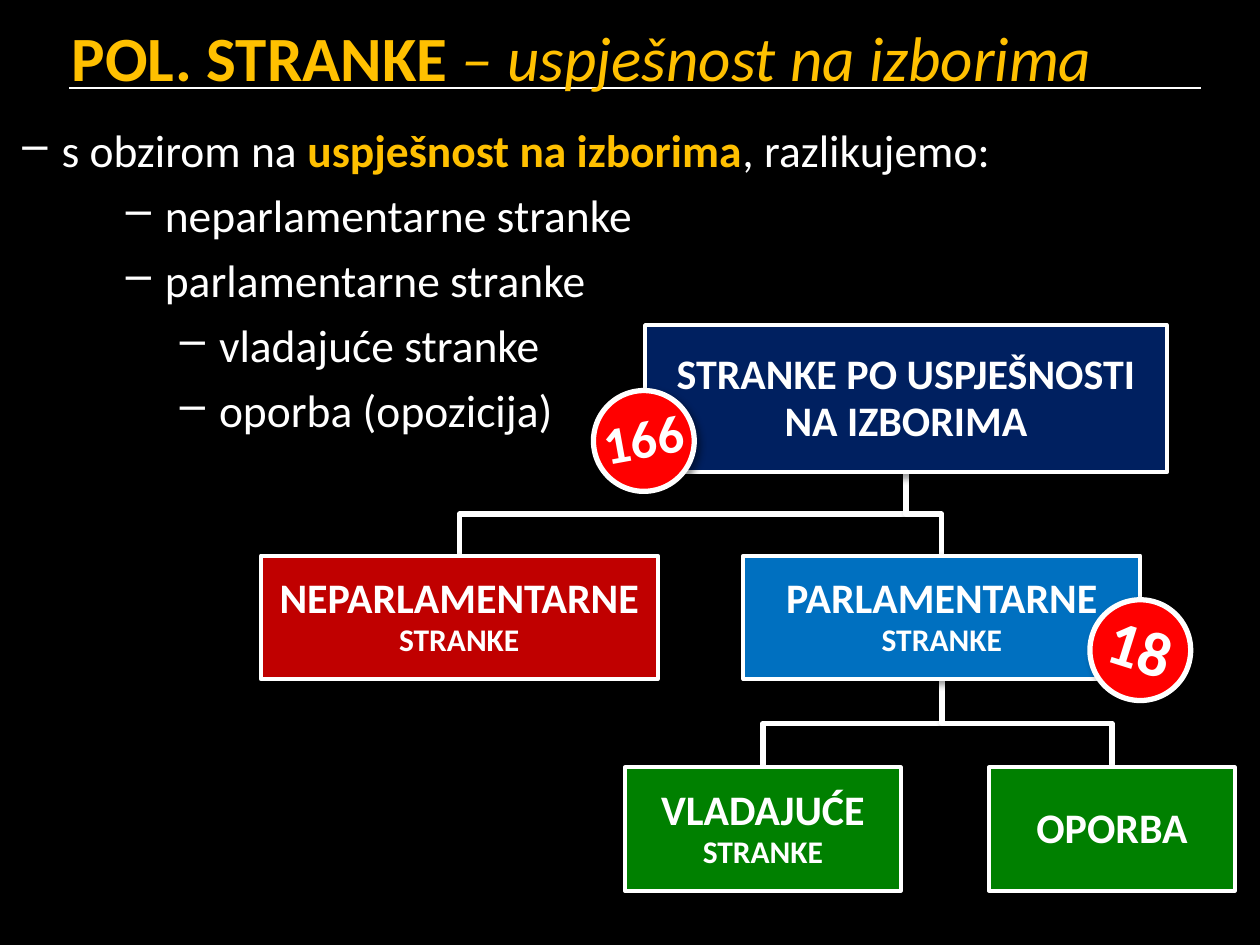
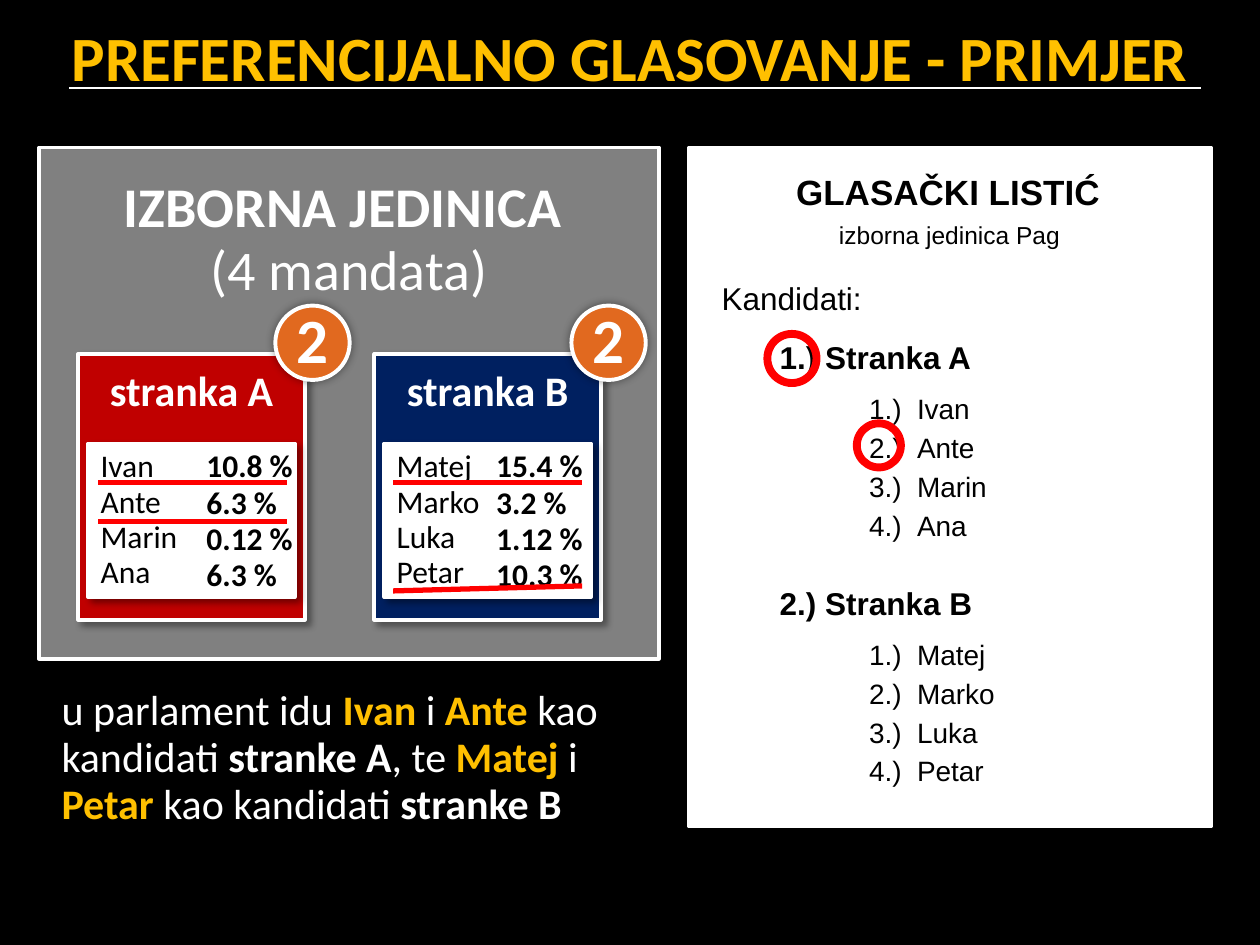
from dataclasses import dataclass

from lxml import etree
from pptx import Presentation
from pptx.dml.color import RGBColor
from pptx.enum.shapes import MSO_CONNECTOR, MSO_SHAPE
from pptx.enum.text import MSO_ANCHOR, PP_ALIGN
from pptx.oxml.ns import qn
from pptx.util import Inches, Pt

RECTANGLE, OVAL = MSO_SHAPE.RECTANGLE, MSO_SHAPE.OVAL
STRAIGHT, ELBOW = MSO_CONNECTOR.STRAIGHT, MSO_CONNECTOR.ELBOW
TOP, MIDDLE = MSO_ANCHOR.TOP, MSO_ANCHOR.MIDDLE
LEFT, CENTER = PP_ALIGN.LEFT, PP_ALIGN.CENTER


@dataclass(frozen=True)
class Theme:
    black: str = "000000"
    white: str = "FFFFFF"
    gold: str = "FFC000"
    crimson: str = "C00000"
    blue: str = "0070C0"
    navy: str = "002060"
    green: str = "008000"
    grey: str = "808080"
    red: str = "FF0000"
    orange: str = "E1691F"
    font: str = "Calibri"
    ballot_font: str = "Arial"
    title: int = 36
    district: int = 32
    badge: int = 30
    body: int = 26
    label: int = 24
    ballot_title: int = 20
    small: int = 18
    choice: int = 16
    note: int = 14
    spacing: float = 0.93


THEME = Theme()
DROP_SHADOW = (4, 3, 45)
GLOW_SHADOW = (5, 0, 0)


def rgb(value):
    return RGBColor.from_string(value)


def add_effects(item, shadow=None):
    properties = item.element.spPr
    for old in properties.findall(qn("a:effectLst")):
        properties.remove(old)
    effects = etree.SubElement(properties, qn("a:effectLst"))
    if shadow:
        blur, distance, angle = shadow
        outer = etree.SubElement(effects, qn("a:outerShdw"), blurRad=str(Pt(blur)),
                                 dist=str(Pt(distance)), dir=str(angle * 60000), rotWithShape="0")
        color = etree.SubElement(outer, qn("a:srgbClr"), val=THEME.black)
        etree.SubElement(color, qn("a:alpha"), val="40000")


def style_span(span, size, color, bold=False, italic=False, font=THEME.font):
    span.font.name = font
    span.font.size = Pt(size)
    span.font.color.rgb = rgb(color)
    span.font.bold = bold
    span.font.italic = italic


def add_spans(para, pieces):
    for text, style in pieces:
        span = para.add_run()
        span.text = text
        style_span(span, **style)


def fill_frame(frame, paragraphs, align=LEFT, anchor=TOP, top=0.05, spacing=THEME.spacing):
    frame.word_wrap = True
    frame.vertical_anchor = anchor
    frame.margin_left = frame.margin_right = Inches(0.1)
    frame.margin_top, frame.margin_bottom = Inches(top), Inches(0.05)
    for index, pieces in enumerate(paragraphs):
        para = frame.add_paragraph() if index else frame.paragraphs[0]
        para.alignment = align
        para.line_spacing = spacing
        add_spans(para, pieces)


def add_text(page, area, paragraphs, **layout):
    box = page.shapes.add_textbox(*map(Inches, area))
    fill_frame(box.text_frame, paragraphs, **layout)
    return box.text_frame


def add_block(page, kind, area, fill, paragraphs=(), line=THEME.white, weight=2.25,
              shadow=DROP_SHADOW, **layout):
    block = page.shapes.add_shape(kind, *map(Inches, area))
    if fill:
        block.fill.solid()
        block.fill.fore_color.rgb = rgb(fill)
    else:
        block.fill.background()
    block.line.color.rgb = rgb(line)
    block.line.width = Pt(weight)
    add_effects(block, shadow)
    fill_frame(block.text_frame, paragraphs, **layout)
    return block


def add_badge(page, center, diameter, fill, text, size, angle=0, weight=3, shadow=DROP_SHADOW):
    x, y = center
    area = (x - diameter / 2, y - diameter / 2, diameter, diameter)
    style = dict(size=size, color=THEME.white, bold=True)
    badge = add_block(page, OVAL, area, fill, [[(text, style)]], weight=weight,
                      shadow=shadow, align=CENTER, anchor=MIDDLE)
    badge.text_frame.word_wrap = False
    badge.rotation = angle


def add_line(page, start, end, color, weight, kind=STRAIGHT, shadow=None):
    line = page.shapes.add_connector(kind, *map(Inches, (*start, *end)))
    line.line.color.rgb = rgb(color)
    line.line.width = Pt(weight)
    add_effects(line, shadow)
    return line


def add_branch(page, parent, child):
    x1, y1 = parent[0] + parent[2] / 2, parent[1] + parent[3]
    x2, y2 = child[0] + child[2] / 2, child[1]
    run, drop = abs(x2 - x1), y2 - y1
    left, right = (x1 + x2 - drop) / 2, (x1 + x2 + drop) / 2
    top, bottom = (y1 + y2 - run) / 2, (y1 + y2 + run) / 2
    if x2 > x1:
        left, right = right, left
    branch = add_line(page, (left, top), (right, bottom), THEME.white, 3, ELBOW, DROP_SHADOW)
    branch.rotation = 270 if x2 > x1 else 90


def add_page(deck, title, subtitle=""):
    page = deck.slides.add_slide(deck.slide_layouts[6])
    page.background.fill.solid()
    page.background.fill.fore_color.rgb = rgb(THEME.black)
    add_line(page, (0.55, 0.7), (9.53, 0.7), THEME.white, 1)
    style = dict(size=THEME.title, color=THEME.gold)
    pieces = [(title, {**style, "bold": True})]
    if subtitle:
        pieces.append((subtitle, {**style, "italic": True}))
    add_text(page, (0.47, 0.1, 9.53, 0.63), [pieces], spacing=1)
    return page


def add_bullets(page, area, items):
    frame = add_text(page, area, [pieces for _, pieces in items], spacing=1)
    for index, (para, (indent, _)) in enumerate(zip(frame.paragraphs, items)):
        para.space_before = Pt(6 if index else 12)
        properties = para._p.get_or_add_pPr()
        properties.set("marL", str(Inches(indent)))
        properties.set("indent", str(Inches(-0.31)))
        color = etree.SubElement(properties, qn("a:buClr"))
        etree.SubElement(color, qn("a:srgbClr"), val=THEME.white)
        etree.SubElement(properties, qn("a:buChar"), char="–")


def build_parties_page(deck):
    page = add_page(deck, "POL. STRANKE ", "– uspješnost na izborima")
    plain = dict(size=THEME.body, color=THEME.white)
    strong = dict(size=THEME.body, color=THEME.gold, bold=True)
    add_bullets(page, (0.08, 0.92, 9.69, 2.66), [
        (0.31, [("s obzirom na ", plain), ("uspješnost na izborima", strong),
                (", razlikujemo:", plain)]),
        (1.13, [("neparlamentarne stranke", plain)]),
        (1.13, [("parlamentarne stranke", plain)]),
        (1.56, [("vladajuće stranke", plain)]),
        (1.56, [("oporba (opozicija)", plain)]),
    ])

    root = (5.12, 2.58, 4.14, 1.17)
    outside, inside = [(x, 4.41, 3.15, 0.98) for x in (2.07, 5.9)]
    ruling, opposition = (4.96, 6.09, 2.19, 0.98), (7.85, 6.09, 1.95, 0.98)
    for parent, child in ((inside, ruling), (inside, opposition), (root, outside), (root, inside)):
        add_branch(page, parent, child)

    label = dict(size=THEME.label, color=THEME.white, bold=True)
    second = ("STRANKE", {**label, "size": THEME.small})
    for area, fill, pieces in (
        (outside, THEME.crimson, [("NEPARLAMENTARNE ", label), second]),
        (inside, THEME.blue, [("PARLAMENTARNE ", label), second]),
        (root, THEME.navy, [("STRANKE PO USPJEŠNOSTI NA IZBORIMA", label)]),
        (ruling, THEME.green, [("VLADAJUĆE ", label), second]),
        (opposition, THEME.green, [("OPORBA", label)]),
    ):
        add_block(page, RECTANGLE, area, fill, [pieces], align=CENTER, anchor=MIDDLE)
    add_badge(page, (5.11, 3.5), 0.8, THEME.red, "166", THEME.badge, 349.6)
    add_badge(page, (9.05, 5.16), 0.8, THEME.red, "18", THEME.title, 17.6)


def add_party(page, left, name, fill, results, share_left):
    heading = dict(size=THEME.label, color=THEME.white, bold=True)
    entry = dict(size=THEME.small, color=THEME.black)
    add_block(page, RECTANGLE, (left, 2.81, 1.8, 2.11), fill, [[(name, heading)]],
              weight=2, align=CENTER, top=0.12)
    add_block(page, RECTANGLE, (left + 0.08, 3.52, 1.64, 1.22), THEME.white,
              [[(person, entry)] for person, _ in results], weight=2)
    for row, (_, share) in enumerate(results):
        add_text(page, (share_left, 3.52 + 0.287 * row, 1, 0.38),
                 [[(share, {**entry, "bold": True})]])
    add_badge(page, (left + 1.86, 2.72), 0.59, THEME.orange, "2", THEME.title,
              weight=2.25, shadow=GLOW_SHADOW)


def add_ballot(page, parties):
    base = dict(color=THEME.black, font=THEME.ballot_font)
    add_block(page, RECTANGLE, (5.47, 1.17, 4.14, 5.39), THEME.white, weight=2)
    for area, text, size, bold in (
        ((6.22, 1.33, 2.8, 0.41), "GLASAČKI LISTIĆ", THEME.ballot_title, True),
        ((6.56, 1.72, 2.2, 0.32), "izborna jedinica Pag", THEME.note, False),
        ((5.63, 2.19, 1.5, 0.38), "Kandidati:", THEME.small, False),
    ):
        add_text(page, area, [[(text, dict(base, size=size, bold=bold))]])
    for number, (name, top, people) in enumerate(parties, 1):
        add_text(page, (6.09, top, 2, 0.38),
                 [[(f"{number}.) {name}", dict(base, size=THEME.small, bold=True))]])
        frame = add_text(page, (6.8, top + 0.4, 1.5, 1.3),
                         [[(f"{place}.)\t{person}", dict(base, size=THEME.choice))]
                          for place, person in enumerate(people, 1)], spacing=1)
        for para in frame.paragraphs:
            para.space_before = Pt(3)
            properties = para._p.get_or_add_pPr()
            properties.set("marL", str(Inches(0.38)))
            properties.set("indent", str(Inches(-0.38)))


def build_voting_page(deck):
    page = add_page(deck, "PREFERENCIJALNO GLASOVANJE - PRIMJER")
    district = dict(size=THEME.district, color=THEME.white)
    add_block(page, RECTANGLE, (0.31, 1.17, 4.92, 4.06), THEME.grey,
              [[("IZBORNA JEDINICA ", {**district, "bold": True})], [("(4 mandata)", district)]],
              weight=2, align=CENTER, top=0.24)

    party_a = [("Ivan", "10.8 %"), ("Ante", "6.3 %"), ("Marin", "0.12 %"), ("Ana", "6.3 %")]
    party_b = [("Matej", "15.4 %"), ("Marko", "3.2 %"), ("Luka", "1.12 %"), ("Petar", "10.3 %")]
    add_party(page, 0.62, "stranka A", THEME.crimson, party_a, 1.54)
    add_party(page, 2.97, "stranka B", THEME.navy, party_b, 3.84)
    add_ballot(page, [("Stranka A", 2.66, [person for person, _ in party_a]),
                      ("Stranka B", 4.61, [person for person, _ in party_b])])

    plain = dict(size=THEME.label, color=THEME.white)
    bold = {**plain, "bold": True}
    elected = {**bold, "color": THEME.gold}
    add_text(page, (0.39, 5.41, 4.84, 1.23), [[
        ("u parlament idu ", plain), ("Ivan", elected), (" i ", plain), ("Ante", elected),
        (" kao kandidati ", plain), ("stranke A", bold), (", te ", plain), ("Matej", elected),
        (" i ", plain), ("Petar", elected), (" kao kandidati ", plain), ("stranke B", bold),
    ]])

    for left, start, end in ((3.12, 3.83, 3.83), (3.12, 4.69, 4.65),
                             (0.78, 3.83, 3.83), (0.78, 4.14, 4.14)):
        add_line(page, (left, start), (left + 1.5, end), THEME.red, 3)
    for left, top, size in ((6.09, 2.65, 0.39), (6.8, 3.36, 0.35)):
        add_block(page, OVAL, (left, top, size, size), None, line=THEME.red, weight=4.5, shadow=None)


def main():
    deck = Presentation()
    deck.slide_width, deck.slide_height = Inches(10), Inches(7.5)
    build_parties_page(deck)
    build_voting_page(deck)
    deck.save("out.pptx")


if __name__ == "__main__":
    main()
